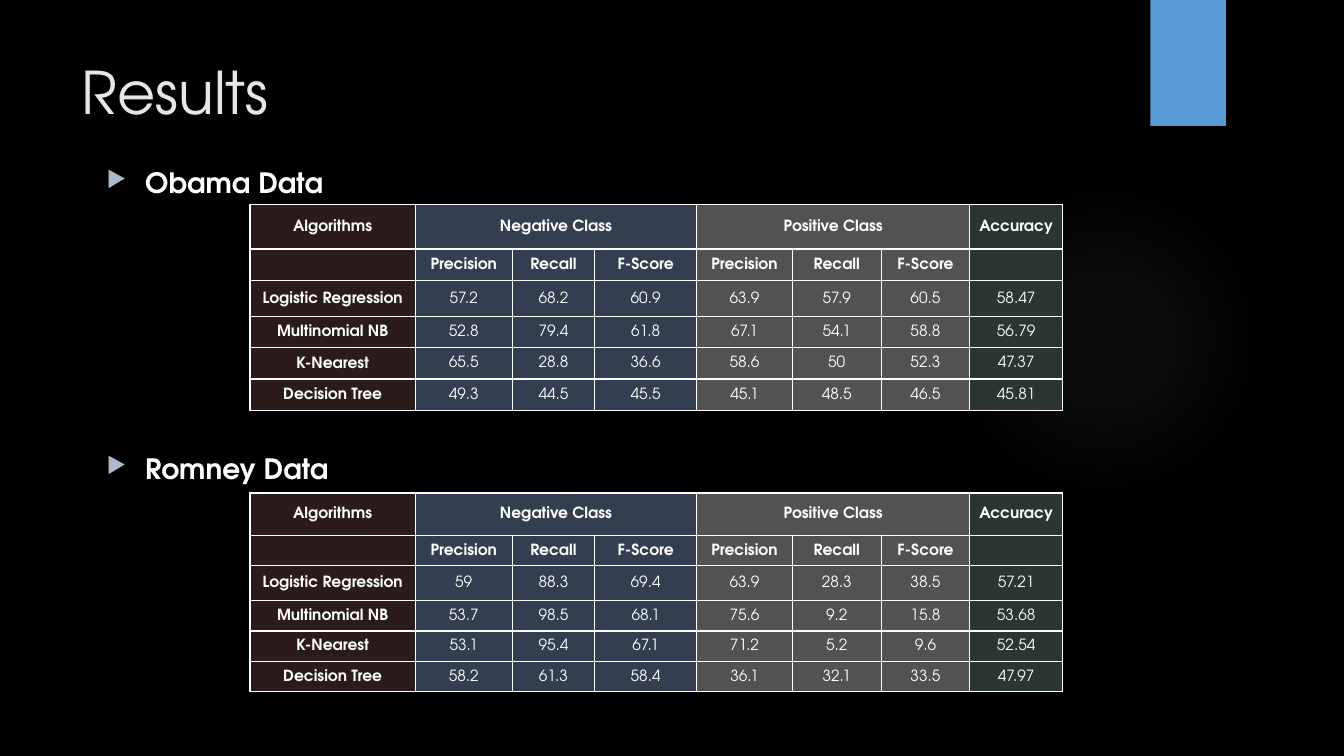
from pptx import Presentation
from pptx.dml.color import RGBColor
from pptx.enum.shapes import MSO_SHAPE
from pptx.enum.text import MSO_ANCHOR, MSO_AUTO_SIZE, PP_ALIGN
from pptx.oxml import parse_xml
from pptx.oxml.ns import nsdecls
from pptx.util import Inches, Pt

BLACK = RGBColor(0x00, 0x00, 0x00)
WHITE = RGBColor(0xFF, 0xFF, 0xFF)
TITLE_GREY = RGBColor(0xE7, 0xE6, 0xE6)
BULLET_BLUE = RGBColor(0xAD, 0xB9, 0xCA)
GLOW_BLUE = RGBColor(0x84, 0x97, 0xB0)
TAB_BLUE = RGBColor(0x5B, 0x9B, 0xD5)
NAME_BROWN = RGBColor(0x2B, 0x1B, 0x1B)
NEGATIVE_BLUE = RGBColor(0x33, 0x3F, 0x50)
POSITIVE_GREY = RGBColor(0x52, 0x52, 0x52)
ACCURACY_GREEN = RGBColor(0x2A, 0x36, 0x2F)

COLUMN_FILLS = [NAME_BROWN] + [NEGATIVE_BLUE] * 3 + [POSITIVE_GREY] * 3 + [ACCURACY_GREEN]
COLUMN_WIDTHS = [1.64, 0.96, 0.82, 1.01, 0.95, 0.88, 0.88, 0.92]
MEASURES = ["Precision", "Recall", "F-Score"]
HEADER_ROWS = [
    ["Algorithms", "Negative Class", "", "", "Positive Class", "", "", "Accuracy"],
    ["", *MEASURES, *MEASURES, ""],
]
ALGORITHMS = ["Logistic Regression", "Multinomial NB", "K-Nearest", "Decision Tree"]
OBAMA_SCORES = [
    ["57.2", "68.2", "60.9", "63.9", "57.9", "60.5", "58.47"],
    ["52.8", "79.4", "61.8", "67.1", "54.1", "58.8", "56.79"],
    ["65.5", "28.8", "36.6", "58.6", "50", "52.3", "47.37"],
    ["49.3", "44.5", "45.5", "45.1", "48.5", "46.5", "45.81"],
]
ROMNEY_SCORES = [
    ["59", "88.3", "69.4", "63.9", "28.3", "38.5", "57.21"],
    ["53.7", "98.5", "68.1", "75.6", "9.2", "15.8", "53.68"],
    ["53.1", "95.4", "67.1", "71.2", "5.2", "9.6", "52.54"],
    ["58.2", "61.3", "58.4", "36.1", "32.1", "33.5", "47.97"],
]


class ResultsSlide:
    font_name = "TeX Gyre Adventor"

    def __init__(self, deck):
        self.page = deck.slides.add_slide(deck.slide_layouts[5])
        self.page.background.fill.solid()
        self.page.background.fill.fore_color.rgb = BLACK

    def style(self, para, size, color, bold=False):
        font = para.font
        font.name, font.size, font.bold = self.font_name, Pt(size), bold
        font.color.rgb = color

    def title(self, text, left, top, width, height):
        box = self.page.shapes.title
        box.left, box.top = Inches(left), Inches(top)
        box.width, box.height = Inches(width), Inches(height)
        frame = box.text_frame
        frame.text = text
        frame.auto_size = MSO_AUTO_SIZE.NONE
        frame.vertical_anchor = MSO_ANCHOR.TOP
        frame.paragraphs[0].alignment = PP_ALIGN.LEFT
        self.style(frame.paragraphs[0], 42, TITLE_GREY)

    def shape(self, kind, left, top, width, height, color):
        shape = self.page.shapes.add_shape(
            kind, Inches(left), Inches(top), Inches(width), Inches(height))
        shape.shadow.inherit = False
        shape.line.fill.background()
        shape.fill.solid()
        shape.fill.fore_color.rgb = color
        return shape

    def glow(self, left, top, size, color):
        shape = self.shape(MSO_SHAPE.OVAL, left, top, size, size, color)
        stops = "".join(
            f'<a:gs pos="{place * 1000}"><a:srgbClr val="{color}">'
            f'<a:alpha val="{alpha * 1000}"/></a:srgbClr></a:gs>'
            for place, alpha in [(0, 7), (36, 6), (69, 0), (100, 0)])
        gradient = parse_xml(
            f'<a:gradFill {nsdecls("a")}><a:gsLst>{stops}</a:gsLst><a:path path="circle">'
            '<a:fillToRect l="50000" t="50000" r="50000" b="50000"/></a:path></a:gradFill>')
        properties = shape._element.spPr
        solid = properties.find("{*}solidFill")
        properties.replace(solid, gradient)

    def bullet(self, text, left, top):
        box = self.page.shapes.add_textbox(
            Inches(left), Inches(top), Inches(9.78), Inches(0.45))
        box.text_frame.word_wrap = True
        para = box.text_frame.paragraphs[0]
        para.text = text
        self.style(para, 20, WHITE, True)
        properties = para._p.get_or_add_pPr()
        properties.set("marL", str(Inches(0.38)))
        properties.set("indent", str(-Inches(0.38)))
        marks = [f'<a:buClr {nsdecls("a")}><a:srgbClr val="{BULLET_BLUE}"/></a:buClr>',
                 f'<a:buSzPct {nsdecls("a")} val="80000"/>',
                 f'<a:buChar {nsdecls("a")} char="\u25b6"/>']
        for place, mark in enumerate(marks):
            properties.insert(place, parse_xml(mark))

    def cell(self, cell, text, fill, bold):
        cell.text = text
        cell.vertical_anchor = MSO_ANCHOR.MIDDLE
        cell.margin_left = cell.margin_right = cell.margin_top = Inches(0.01)
        cell.margin_bottom = 0
        para = cell.text_frame.paragraphs[0]
        para.alignment = PP_ALIGN.CENTER
        self.style(para, 11, WHITE, bold)
        properties = cell._tc.get_or_add_tcPr()
        for side in "LRTB":
            properties.append(parse_xml(
                f'<a:ln{side} {nsdecls("a")} w="{Pt(1)}"><a:solidFill>'
                f'<a:srgbClr val="{WHITE}"/></a:solidFill></a:ln{side}>'))
        cell.fill.solid()
        cell.fill.fore_color.rgb = fill

    def score_table(self, left, top, row_heights, scores):
        rows = HEADER_ROWS + [[name, *values] for name, values in zip(ALGORITHMS, scores)]
        table = self.page.shapes.add_table(
            len(rows), len(COLUMN_WIDTHS), Inches(left), Inches(top),
            Inches(sum(COLUMN_WIDTHS)), Inches(sum(row_heights))).table
        table.first_row = table.horz_banding = False
        for column, width in zip(table.columns, COLUMN_WIDTHS):
            column.width = Inches(width)
        for row, height in zip(table.rows, row_heights):
            row.height = Inches(height)
        for r, texts in enumerate(rows):
            for c, (text, fill) in enumerate(zip(texts, COLUMN_FILLS)):
                self.cell(table.cell(r, c), text, fill, r < len(HEADER_ROWS) or c == 0)
        for first in (1, 4):
            table.cell(0, first).merge(table.cell(0, first + 2))


deck = Presentation()
deck.slide_width, deck.slide_height = Inches(13.33), Inches(7.5)
slide = ResultsSlide(deck)
slide.glow(9.41, 1.83, 3.08, GLOW_BLUE)
slide.shape(MSO_SHAPE.RECTANGLE, 11.41, 0, 0.75, 1.25, TAB_BLUE)
slide.title("Results", 0.71, 0.5, 10.29, 1.53)
slide.bullet("Obama Data", 0.96, 1.59)
slide.score_table(2.48, 2.03, [0.44, 0.31, 0.36, 0.31, 0.31, 0.31], OBAMA_SCORES)
slide.bullet("Romney Data", 0.96, 4.43)
slide.score_table(2.48, 4.89, [0.42, 0.3, 0.35, 0.3, 0.3, 0.3], ROMNEY_SCORES)
deck.save("out.pptx")
